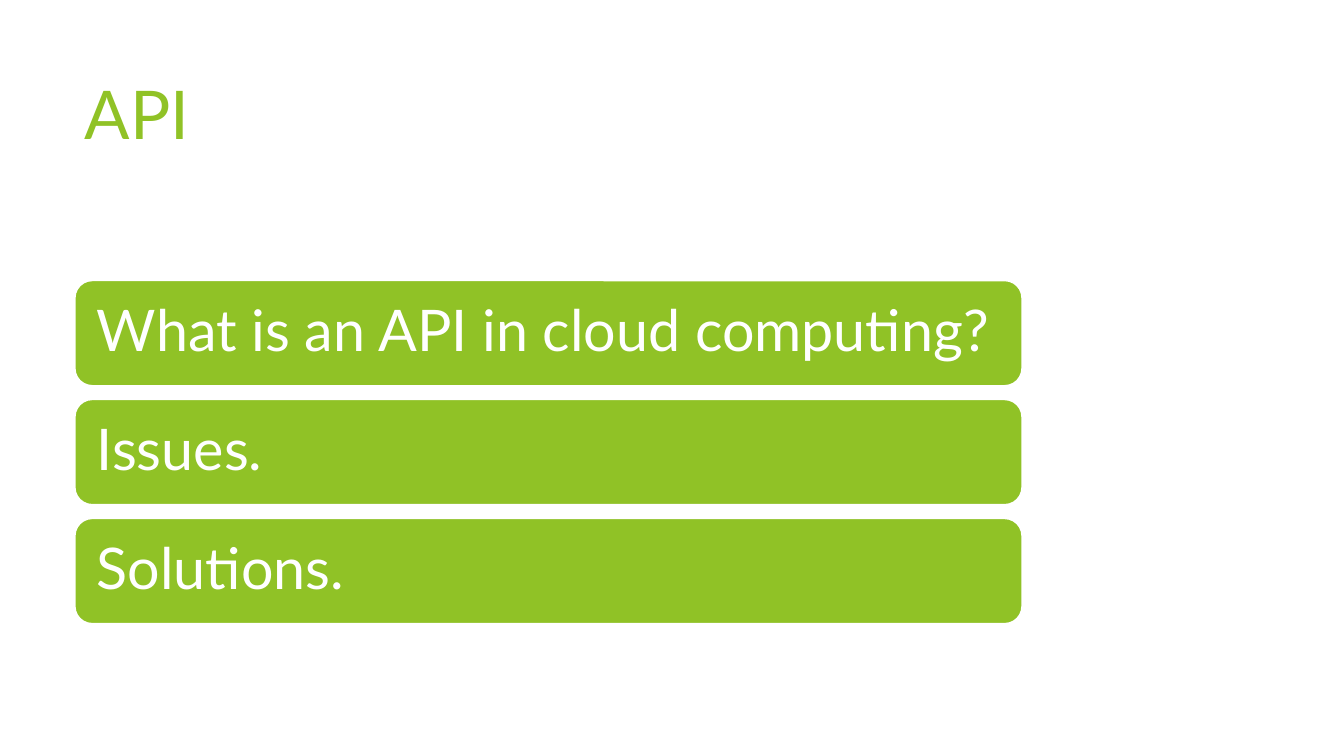
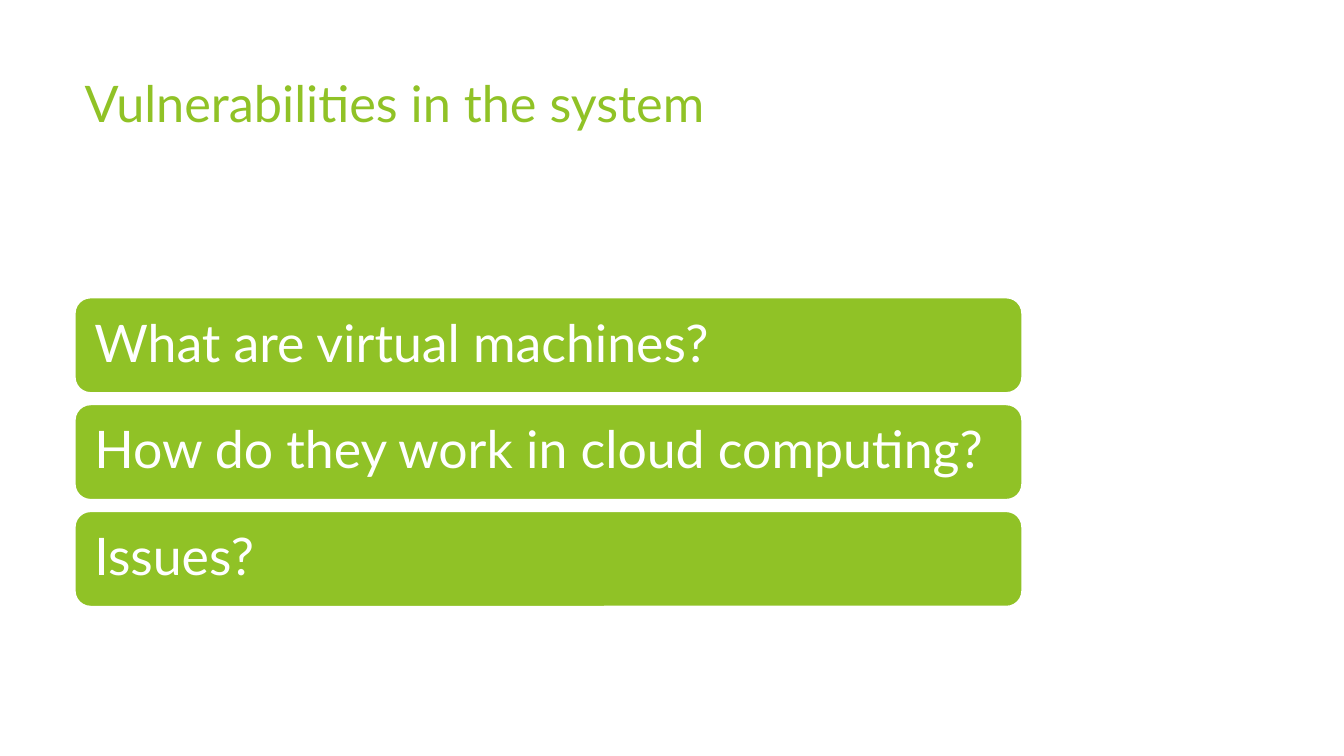
from pptx import Presentation
from pptx.dml.color import RGBColor
from pptx.enum.shapes import MSO_SHAPE
from pptx.enum.text import MSO_ANCHOR, MSO_AUTO_SIZE, PP_ALIGN
from pptx.util import Pt

ROUNDED = MSO_SHAPE.ROUNDED_RECTANGLE
TOP, MIDDLE = MSO_ANCHOR.TOP, MSO_ANCHOR.MIDDLE
LEFT = PP_ALIGN.LEFT
NO_AUTOFIT = MSO_AUTO_SIZE.NONE

GREEN = RGBColor(0x90, 0xC2, 0x26)
WHITE = RGBColor(0xFF, 0xFF, 0xFF)
FONT = "Lato"
EMU_PER_PX = 9144
TITLE_ONLY = 5
CONTENT_LEFT, CONTENT_WIDTH = 74, 940
TITLE_TOP, TITLE_HEIGHT = 67, 144


def px(length):
    return length * EMU_PER_PX


class Deck:
    def __init__(self):
        self.presentation = Presentation()
        self.presentation.slide_width = px(1333)
        self.presentation.slide_height = px(750)
        self.slide = None

    def add_slide(self, title, size):
        layout = self.presentation.slide_layouts[TITLE_ONLY]
        self.slide = self.presentation.slides.add_slide(layout)
        shape = self.slide.shapes.title
        shape.left, shape.top = px(CONTENT_LEFT), px(TITLE_TOP)
        shape.width, shape.height = px(CONTENT_WIDTH), px(TITLE_HEIGHT)
        self.set_text(shape, title, size, GREEN, TOP)

    def set_text(self, shape, text, size, color, anchor):
        frame = shape.text_frame
        frame.text = text
        frame.word_wrap = True
        frame.auto_size = NO_AUTOFIT
        frame.vertical_anchor = anchor
        paragraph = frame.paragraphs[0]
        paragraph.alignment = LEFT
        paragraph.font.name = FONT
        paragraph.font.size = Pt(size)
        paragraph.font.color.rgb = color
        return paragraph

    def add_bar(self, text, top, height, size, margin, space_after):
        shape = self.slide.shapes.add_shape(
            ROUNDED, px(CONTENT_LEFT), px(top), px(CONTENT_WIDTH), px(height))
        shape.shadow.inherit = False
        shape.fill.solid()
        shape.fill.fore_color.rgb = GREEN
        shape.line.color.rgb = WHITE
        shape.line.width = Pt(1.5)
        frame = shape.text_frame
        frame.margin_left = frame.margin_right = px(margin)
        frame.margin_top = frame.margin_bottom = px(margin)
        paragraph = self.set_text(shape, text, size, WHITE, MIDDLE)
        paragraph.line_spacing = 0.9
        paragraph.space_after = Pt(space_after)

    def add_bars(self, texts, top, height, gap, **style):
        for index, text in enumerate(texts):
            self.add_bar(text, top + index * (height + gap), height, **style)

    def save(self):
        self.presentation.save("out.pptx")


def main():
    deck = Deck()

    deck.add_slide("API", size=48)
    deck.add_bars(
        ["What is an API in cloud computing?", "Issues.", "Solutions."],
        top=278, height=105, gap=13, size=41, margin=17, space_after=17)

    deck.add_slide("Vulnerabilities in the system", size=36)
    deck.add_bars(
        ["What are virtual machines?", "How do they work in cloud computing?", "Issues?"],
        top=295, height=95, gap=11, size=37, margin=15, space_after=16)

    deck.save()


if __name__ == "__main__":
    main()
